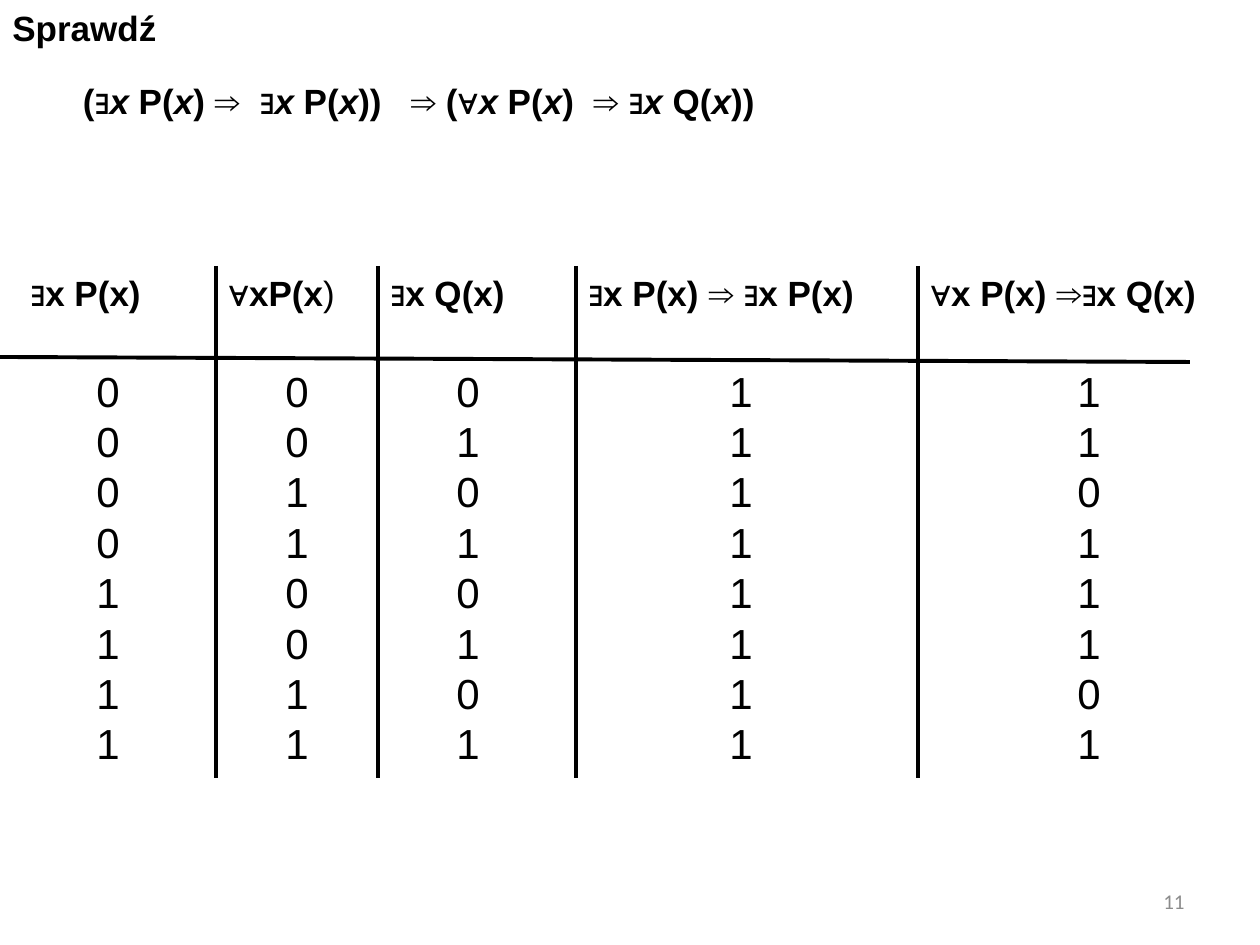
from lxml import etree
from pptx import Presentation
from pptx.dml.color import RGBColor
from pptx.enum.shapes import MSO_CONNECTOR
from pptx.enum.text import MSO_ANCHOR, PP_ALIGN
from pptx.oxml.ns import qn
from pptx.util import Emu, Pt

STRAIGHT = MSO_CONNECTOR.STRAIGHT
TOP, MIDDLE = MSO_ANCHOR.TOP, MSO_ANCHOR.MIDDLE
LEFT, CENTER, RIGHT = PP_ALIGN.LEFT, PP_ALIGN.CENTER, PP_ALIGN.RIGHT

PIXELS_PER_INCH = 126
COLORS = {"ink": "000000", "number": "8C8C8C"}

# Each column: left edge, width, header runs (text, bold), left edge of values, values
COLUMNS = [
    (18, 198, [("∃x P(x)", True)], 0, "00001111"),
    (216, 162, [("∀xP(x", True), (")", False)], 189, "00110011"),
    (378, 198, [("∃x Q(x)", True)], 360, "01010101"),
    (576, 342, [("∃x P(x) ⇒ ∃x P(x)", True)], 633, "11111111"),
    (918, 342, [("∀x P(x) ⇒∃x Q(x)", True)], 981, "11011101"),
]
HEADER_HEIGHT = 90
VALUES_WIDTH = 216


def px(length):
    return Emu(round(length * 914400 / PIXELS_PER_INCH))


def add_run(paragraph, text, size, bold=False, italic=False, font="Arial", color="ink"):
    run = paragraph.add_run()
    run.text = text
    run.font.name = font
    run.font.size = Pt(size)
    run.font.bold = bold
    run.font.italic = italic
    run.font.color.rgb = RGBColor.from_string(COLORS[color])


def add_text_frame(slide, box, anchor=TOP, wrap=True, margin_top=6):
    frame = slide.shapes.add_textbox(*map(px, box)).text_frame
    frame.word_wrap = wrap
    frame.vertical_anchor = anchor
    frame.margin_top = px(margin_top)
    return frame


def add_rule(slide, start, end):
    rule = slide.shapes.add_connector(STRAIGHT, *map(px, start + end))
    rule.line.color.rgb = RGBColor.from_string(COLORS["ink"])
    rule.line.width = Pt(2.25)
    etree.SubElement(rule._element.spPr, qn("a:effectLst"))


def add_title(slide, box):
    frame = add_text_frame(slide, box)
    add_run(frame.paragraphs[0], "Sprawdź", 20, bold=True)


def add_formula(slide, box):
    """Write the formula in bold, with every variable x in italics."""
    frame = add_text_frame(slide, box, wrap=False, margin_top=11)
    frame.margin_left = px(24)
    paragraph = frame.paragraphs[0]
    formula = "(∃x P(x) ⇒  ∃x P(x))   ⇒ (∀x P(x)  ⇒ ∃x Q(x))"
    for index, part in enumerate(formula.split("x")):
        if index:
            add_run(paragraph, "x", 20, bold=True, italic=True)
        add_run(paragraph, part, 20, bold=True)


def add_values(slide, box, values):
    frame = add_text_frame(slide, box, margin_top=9)
    for index, value in enumerate(values):
        paragraph = frame.add_paragraph() if index else frame.paragraphs[0]
        paragraph.alignment = CENTER
        paragraph.line_spacing = Pt(28.8)
        add_run(paragraph, value, 24)


def add_truth_table(slide, box):
    """Draw the columns with a rule left of all but the first, and one under the headers."""
    left, top, width, height = box
    values_top = top + HEADER_HEIGHT
    for index, (column_left, column_width, header, values_left, values) in enumerate(COLUMNS):
        x = left + column_left
        if index:
            add_rule(slide, (x, top), (x, top + height))
        frame = add_text_frame(slide, (x, top, column_width, HEADER_HEIGHT))
        for text, bold in header:
            add_run(frame.paragraphs[0], text, 20, bold=bold)
        values_box = (left + values_left, values_top, VALUES_WIDTH, height - HEADER_HEIGHT)
        add_values(slide, values_box, values)
    add_rule(slide, (left, values_top + 1), (left + width - 70, values_top + 6))


def add_slide_number(slide, box):
    paragraph = add_text_frame(slide, box, anchor=MIDDLE).paragraphs[0]
    paragraph.alignment = RIGHT
    add_run(paragraph, "11", 12, font="Calibri", color="number")


def main():
    presentation = Presentation()
    presentation.slide_width, presentation.slide_height = px(1260), px(945)
    slide = presentation.slides.add_slide(presentation.slide_layouts[6])
    add_slide_number(slide, (903, 876, 294, 50))
    add_formula(slide, (59, 69, 767, 87))
    add_truth_table(slide, (0, 266, 1260, 512))
    add_title(slide, (0, 0, 970, 84))
    presentation.save("out.pptx")


if __name__ == "__main__":
    main()
